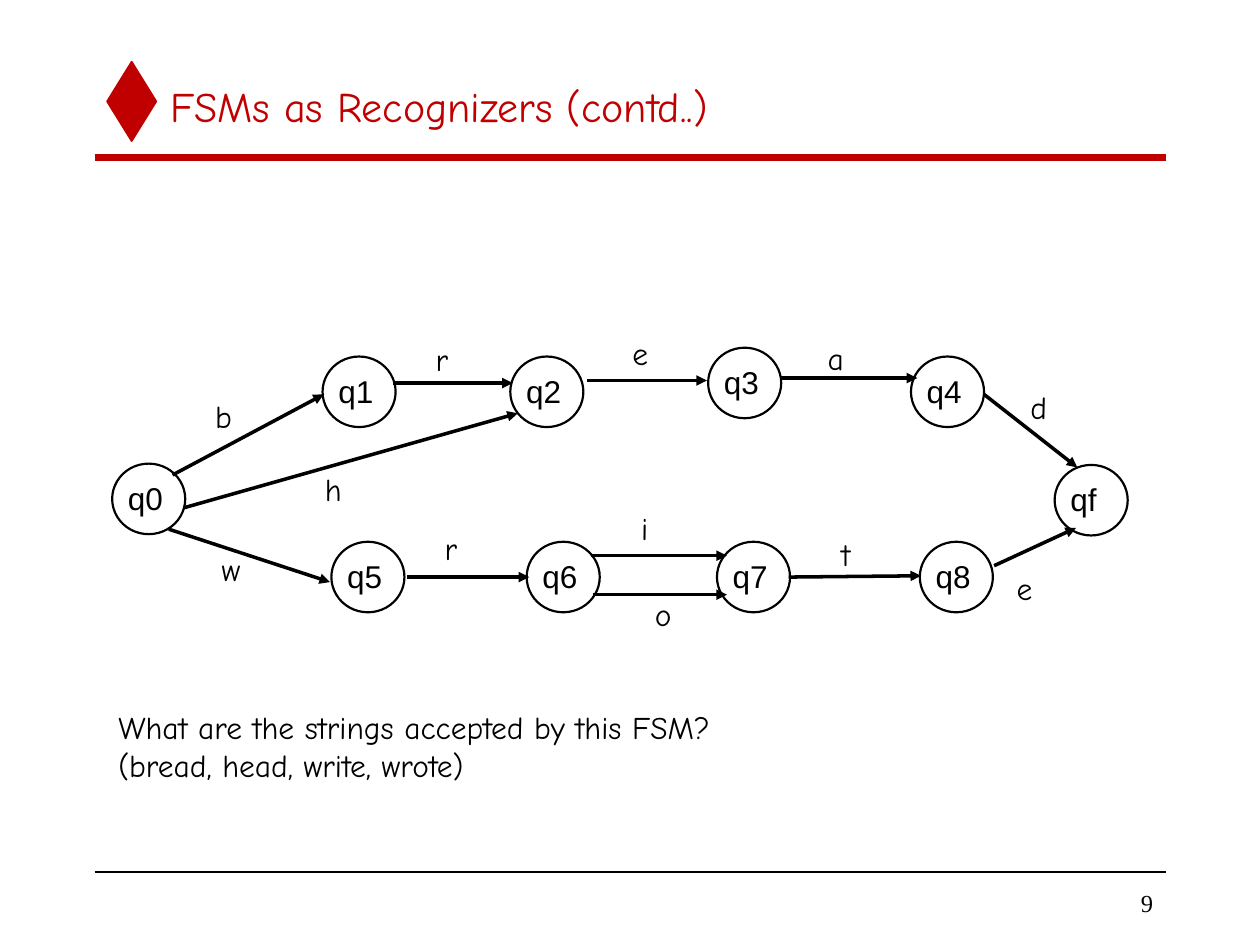
from lxml.etree import SubElement
from pptx import Presentation
from pptx.dml.color import RGBColor
from pptx.enum.shapes import MSO_CONNECTOR as Link, MSO_SHAPE as Shape
from pptx.enum.text import MSO_ANCHOR as Anchor, MSO_AUTO_SIZE as Fit, PP_ALIGN as Align
from pptx.oxml.ns import qn
from pptx.util import Inches, Pt

COLORS = {"accent": "C00000", "ink": "000000", "paper": "FFFFFF"}
COLUMNS, ROWS = 100, 75
STATE_SIZE = (5.8, 5.6)

# Left and top of each state, in columns and rows
STATES = {
    "q0": (8.9, 36.8), "q1": (25.6, 28.3), "q2": (40.5, 28.3),
    "q3": (56.2, 27.6), "q4": (72.3, 28.3), "q5": (26.3, 43),
    "q6": (41.8, 43), "q7": (56.9, 43), "q8": (73, 43), "qf": (83.7, 36.9),
}

# Each transition: symbol, arrow start, arrow end, label left, top and width
TRANSITIONS = [
    ("b", (13.7, 37.7), (25.7, 31.3), (16.1, 31, 3.3)),
    ("r", (31.2, 30.4), (40.7, 30.4), (33.6, 26.5, 3)),
    ("e", (46.6, 30.2), (56.1, 30.2), (49.2, 26, 3.2)),
    ("a", (61.9, 30), (72.8, 30), (64.7, 26.4, 3.3)),
    ("d", (78.1, 31.3), (85.5, 37.1), (80.8, 30.3, 3.3)),
    ("h", (14.6, 40.3), (41.1, 32.8), (24.8, 36.8, 3.3)),
    ("w", (13.4, 42), (26.2, 46.2), (16.6, 43.2, 3.5)),
    ("r", (32.3, 45.8), (42, 45.8), (34.3, 41.5, 3)),
    ("i", (46.9, 44.1), (57.7, 44.1), (49.9, 39.9, 2.5)),
    ("o", (47.1, 47.2), (57.7, 47.2), (51, 46.7, 3.3)),
    ("t", (62.6, 45.8), (73.1, 45.7), (65.8, 42, 2.7)),
    ("e", (78.9, 44.9), (85.4, 41.9), (79.7, 44.7, 3.2)),
]


class Sketch:
    """Holds the style and the current slide; lengths are columns and rows."""

    hand, plain, serif = "Comic Neue", "Arial", "Times New Roman"

    def __init__(self, deck):
        self.column = deck.slide_width / COLUMNS
        self.row = deck.slide_height / ROWS
        self.page = deck.slides.add_slide(deck.slide_layouts[5])

    def place(self, *lengths):
        units = (self.column, self.row) * 2
        return [round(length * unit) for length, unit in zip(lengths, units)]

    def color(self, name):
        return RGBColor.from_string(COLORS[name])

    def fill_text(self, shape, lines, font, size=18, color="ink", align=Align.LEFT, **layout):
        frame = shape.text_frame
        for name, value in layout.items():
            setattr(frame, name, value)
        frame.text = "\n".join(lines)
        for para in frame.paragraphs:
            para.alignment = align
            for name, value in {"name": font, "size": Pt(size)}.items():
                setattr(para.font, name, value)
            para.font.color.rgb = self.color(color)

    def title(self, text, *area):
        box = self.page.shapes.title
        box.left, box.top, box.width, box.height = self.place(*area)
        self.fill_text(box, [text], self.hand, 24, "accent",
                       vertical_anchor=Anchor.MIDDLE, auto_size=Fit.NONE)

    def text(self, lines, area, font=hand, size=18, align=Align.LEFT, **layout):
        box = self.page.shapes.add_textbox(*self.place(*area))
        self.fill_text(box, lines, font, size, align=align, **layout)

    def shape(self, kind, area, fill, line, width):
        shape = self.page.shapes.add_shape(kind, *self.place(*area))
        shape.shadow.inherit = False
        shape.fill.solid()
        shape.fill.fore_color.rgb = self.color(fill)
        shape.line.color.rgb = self.color(line)
        shape.line.width = Pt(width)
        return shape

    def state(self, name, corner):
        circle = self.shape(Shape.OVAL, (*corner, *STATE_SIZE), "paper", "ink", 1.25)
        self.fill_text(circle, [name], self.plain, word_wrap=True,
                       vertical_anchor=Anchor.MIDDLE, margin_left=Inches(0.04),
                       margin_right=0, margin_top=0, margin_bottom=Inches(0.02))

    def line(self, start, end, width, color="ink", arrow=False):
        line = self.page.shapes.add_connector(
            Link.STRAIGHT, *self.place(*start, *end))
        line.line.color.rgb = self.color(color)
        line.line.width = Pt(width)
        properties = line._element.spPr
        if arrow:
            SubElement(properties.get_or_add_ln(), qn("a:tailEnd"), type="triangle")
        SubElement(properties, qn("a:effectLst"))


def main():
    deck = Presentation()
    deck.slide_width, deck.slide_height = Inches(10), Inches(7.5)
    sketch = Sketch(deck)

    # Heading and rules
    sketch.shape(Shape.DIAMOND, (8.5, 4.9, 3.9, 6.3), "accent", "accent", 1)
    sketch.line((7.5, 12.5), (92.5, 12.5), 4, "accent")
    sketch.line((7.5, 69.2), (92.5, 69.2), 1)
    sketch.title("FSMs as Recognizers (contd..)", 12.5, 5, 80, 6.7)

    # State machine
    for name, corner in STATES.items():
        sketch.state(name, corner)
    for symbol, start, end, (left, top, width) in TRANSITIONS:
        sketch.line(start, end, 2, arrow=True)
        sketch.text([symbol], (left, top, width, 4), word_wrap=False)

    # Question and answer
    sketch.text(["What are the strings accepted by this FSM?",
                 "(bread, head, write, wrote)"],
                (8.4, 55.7, 49.1, 7), word_wrap=False)

    # Page number
    sketch.text(["9"], (78.3, 70, 14.2, 3.3), Sketch.serif, 14, Align.RIGHT,
                word_wrap=True, vertical_anchor=Anchor.MIDDLE)

    deck.save("out.pptx")


if __name__ == "__main__":
    main()
